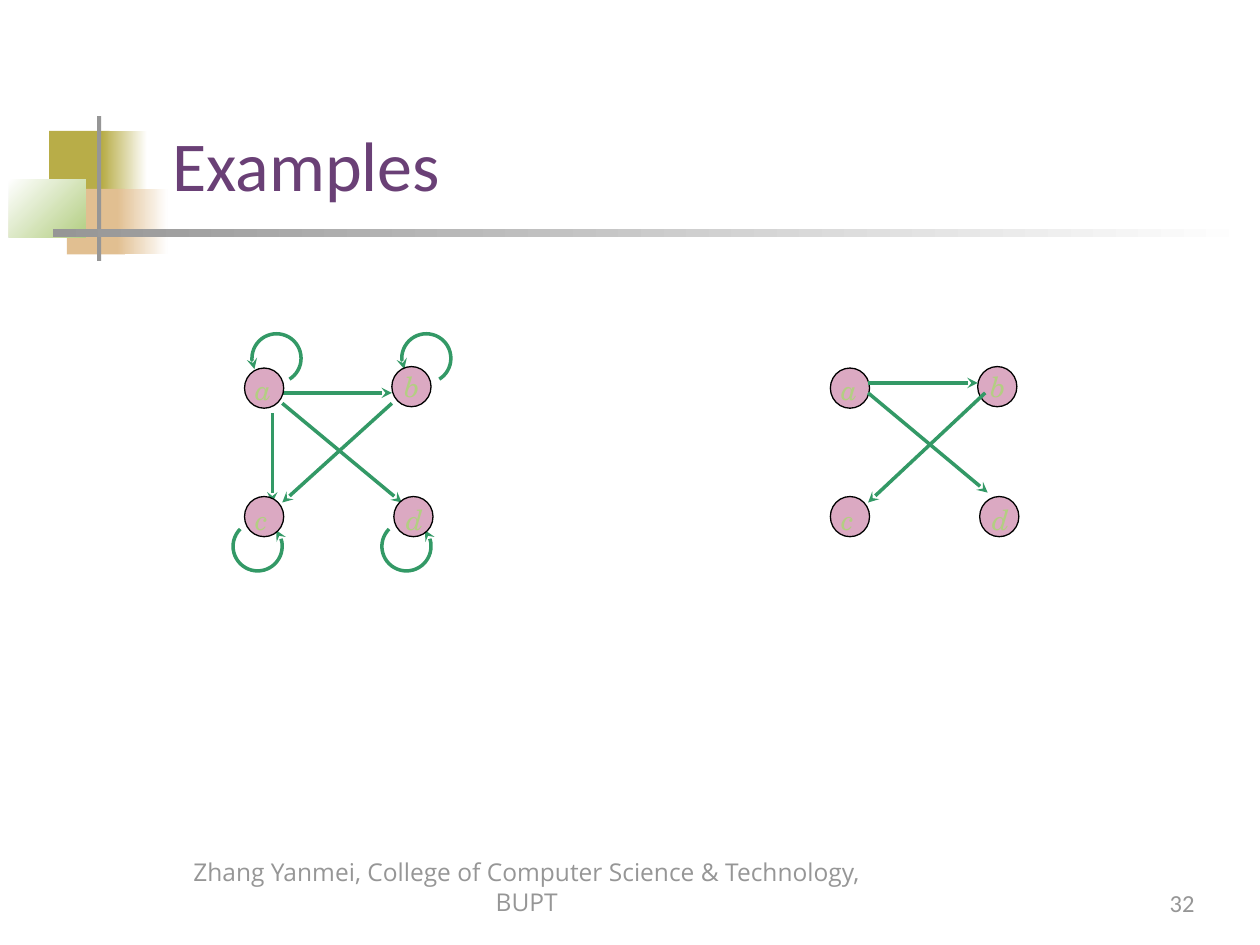
from dataclasses import dataclass
from typing import Optional

from lxml import etree
from pptx import Presentation
from pptx import util as u
from pptx.dml.color import RGBColor
from pptx.enum import shapes, text
from pptx.oxml.ns import qn

OLIVE = RGBColor(0xB8, 0xAD, 0x48)
SAND = RGBColor(0xE1, 0xBF, 0x91)
LIME = RGBColor(0xB3, 0xCE, 0x82)
GRAY = RGBColor(0x96, 0x96, 0x96)
WHITE = RGBColor(0xFF, 0xFF, 0xFF)
BLACK = RGBColor(0, 0, 0)
PINK = RGBColor(0xDB, 0xA9, 0xC2)
GREEN = RGBColor(0x33, 0x99, 0x66)
PURPLE = RGBColor(0x6A, 0x40, 0x76)

GRAPH_SHIFT = 11.81
NODE_W, NODE_H = 0.79, 0.81
LOOP_SIZE = 0.99


@dataclass(frozen=True)
class Block:
    x: float
    y: float
    w: float
    h: float
    color: RGBColor
    end: Optional[RGBColor] = None
    angle: float = 0


@dataclass(frozen=True)
class Node:
    name: str
    x: float
    y: float
    label_dx: float
    label_dy: float
    label_w: float


@dataclass(frozen=True)
class Edge:
    x1: float
    y1: float
    x2: float
    y2: float


@dataclass(frozen=True)
class Loop:
    x: float
    y: float
    start: float
    end: float


@dataclass(frozen=True)
class Label:
    words: str
    x: float
    y: float
    w: float
    h: float
    font: dict
    align: text.PP_ALIGN = text.PP_ALIGN.LEFT
    wrap: bool = True
    anchor: text.MSO_ANCHOR = text.MSO_ANCHOR.BOTTOM


BLOCKS = [
    Block(0.99, 2.64, 1.22, 1.32, OLIVE),
    Block(2.06, 2.64, 0.91, 1.32, OLIVE, WHITE),
    Block(1.35, 3.81, 1.17, 1.32, SAND),
    Block(2.36, 3.81, 1.02, 1.32, SAND, WHITE),
    Block(0.18, 3.61, 1.55, 1.17, WHITE, LIME, 315),
    Block(1.96, 2.34, 0.08, 2.92, GRAY),
    Block(1.07, 4.62, 24.16, 0.15, GRAY, WHITE),
]
NODES = [
    Node("b", 7.9, 7.39, 0, -0.07, 0.81),
    Node("c", 4.93, 10.01, -0.03, 0, 0.76),
    Node("d", 7.94, 10.01, 0, 0, 0.84),
    Node("a", 4.93, 7.42, -0.03, -0.03, 0.84),
]
LEFT_EDGES = [
    Edge(7.9, 8.13, 5.69, 10.13),
    Edge(5.69, 8.13, 8.1, 10.13),
    Edge(5.49, 8.33, 5.49, 10.13),
    Edge(5.69, 7.92, 7.9, 7.92),
]
RIGHT_EDGES = [
    Edge(17.5, 7.92, 19.91, 9.93),
    Edge(19.86, 7.92, 17.5, 10.13),
    Edge(17.5, 7.72, 19.71, 7.72),
]
LOOPS = [
    Loop(5.08, 6.73, 154, 58),
    Loop(8.1, 6.73, 154, 58),
    Loop(7.7, 10.52, 319, 225),
    Loop(4.7, 10.52, 319, 225),
]
TITLE_FONT = {"name": "Calibri", "size": u.Pt(40)}
NODE_FONT = {"name": "TeX Gyre Schola", "size": u.Pt(16), "italic": True}
FOOTER_FONT = {"name": "Open Sans", "size": u.Pt(14)}
NUMBER_FONT = {"name": "Calibri", "size": u.Pt(14)}


def cm(*values: float) -> list:
    return [u.Cm(v) for v in values]


def add_block(s, block: Block) -> None:
    sp = s.shapes.add_shape(shapes.MSO_SHAPE.RECTANGLE, *cm(block.x, block.y, block.w, block.h))
    sp.shadow.inherit = False
    sp.line.fill.background()
    if block.end is None:
        sp.fill.solid()
        sp.fill.fore_color.rgb = block.color
        return
    sp.fill.gradient()
    sp.fill.gradient_angle = block.angle
    for stop, color, position in zip(sp.fill.gradient_stops, (block.color, block.end), (0, 1)):
        stop.color.rgb = color
        stop.position = position


def add_label(s, label: Label, color: RGBColor) -> None:
    tf = s.shapes.add_textbox(*cm(label.x, label.y, label.w, label.h)).text_frame
    tf.word_wrap = label.wrap
    tf.vertical_anchor = label.anchor
    p = tf.paragraphs[0]
    p.alignment = label.align
    r = p.add_run()
    r.text = label.words
    for key, value in label.font.items():
        setattr(r.font, key, value)
    r.font.color.rgb = color


def style_arrow(sp, end: str) -> None:
    sp.line.color.rgb = GREEN
    sp.line.width = u.Pt(2)
    etree.SubElement(sp.line._get_or_add_ln(), qn(f"a:{end}"), type="stealth")


def add_edge(s, edge: Edge) -> None:
    sp = s.shapes.add_connector(
        shapes.MSO_CONNECTOR.STRAIGHT, *cm(edge.x1, edge.y1, edge.x2, edge.y2)
    )
    style_arrow(sp, "tailEnd")
    etree.SubElement(sp._element.spPr, qn("a:effectLst"))


def add_loop(s, loop: Loop) -> None:
    sp = s.shapes.add_shape(shapes.MSO_SHAPE.ARC, *cm(loop.x, loop.y, LOOP_SIZE, LOOP_SIZE))
    sp.shadow.inherit = False
    sp.fill.background()
    for i, degrees in enumerate((loop.start, loop.end)):
        sp.adjustments[i] = degrees * 0.6
    style_arrow(sp, "headEnd")


def add_nodes(s, shift: float) -> None:
    for node in NODES:
        sp = s.shapes.add_shape(
            shapes.MSO_SHAPE.OVAL, *cm(node.x + shift, node.y, NODE_W, NODE_H)
        )
        sp.shadow.inherit = False
        sp.fill.solid()
        sp.fill.fore_color.rgb = PINK
        sp.line.color.rgb = BLACK
        sp.line.width = u.Pt(0.75)
    for node in NODES:
        x, y = node.x + shift + node.label_dx, node.y + node.label_dy
        add_label(s, Label(node.name, x, y, node.label_w, 0.94, NODE_FONT,
                           wrap=False, anchor=text.MSO_ANCHOR.TOP), LIME)


def main() -> None:
    """Build the slide with two directed graphs."""
    prs = Presentation()
    prs.slide_width, prs.slide_height = cm(25.4, 19.05)
    s = prs.slides.add_slide(prs.slide_layouts[6])
    for block in BLOCKS:
        add_block(s, block)
    add_label(s, Label("Examples", 3.23, 1.09, 21.64, 3.18, TITLE_FONT), PURPLE)
    add_nodes(s, GRAPH_SHIFT)
    for edge in LEFT_EDGES:
        add_edge(s, edge)
    for loop in LOOPS:
        add_loop(s, loop)
    add_nodes(s, 0)
    for edge in RIGHT_EDGES:
        add_edge(s, edge)
    add_label(s, Label("Zhang Yanmei, College of Computer Science & Technology, BUPT",
                       3.23, 17.32, 14.78, 1.27, FOOTER_FONT, text.PP_ALIGN.CENTER), GRAY)
    add_label(s, Label("32", 19.05, 17.35, 5.28, 1.27, NUMBER_FONT, text.PP_ALIGN.RIGHT), GRAY)
    prs.save("out.pptx")


if __name__ == "__main__":
    main()
